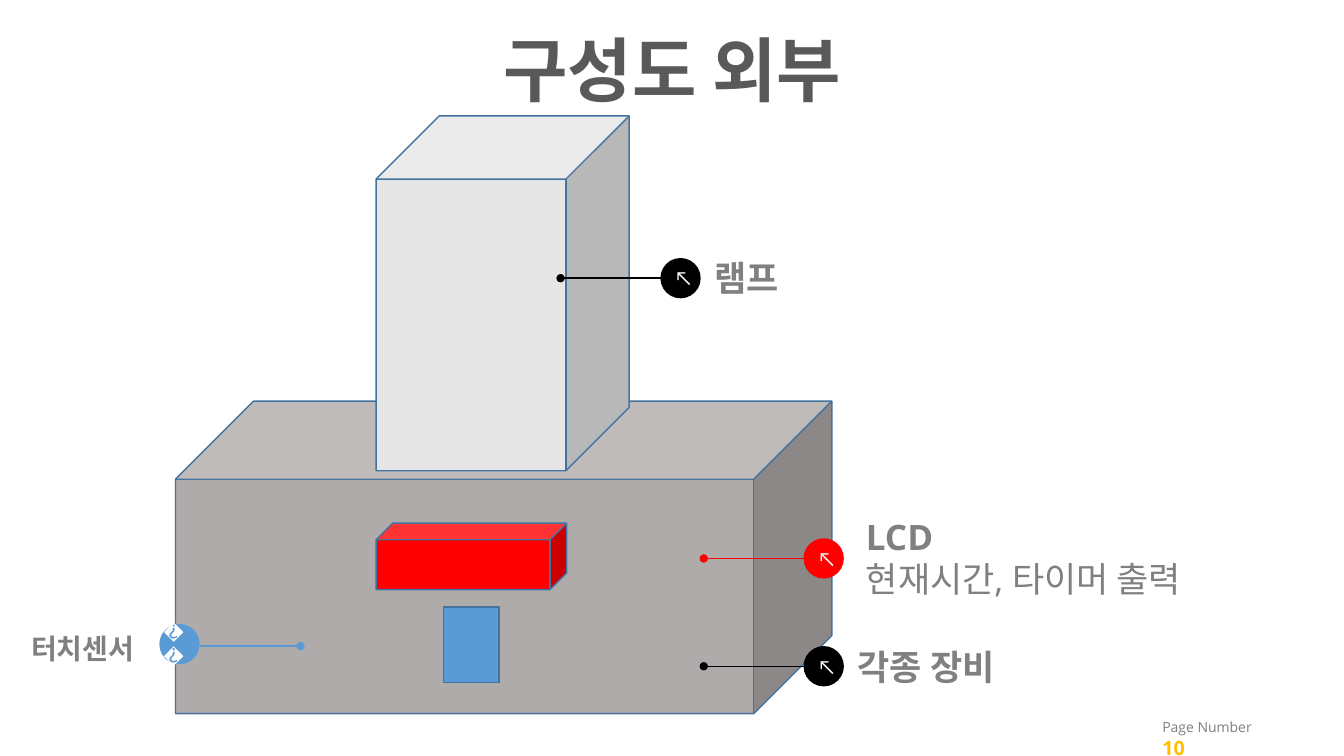
import pptx
import pptx.dml.color
import pptx.enum.shapes
import pptx.enum.text
import pptx.util
from lxml import etree
from pptx.oxml.ns import qn

EMU_PER_PX = 9144  # 100 px to the inch
SHAPES = pptx.enum.shapes.MSO_SHAPE
CENTER = pptx.enum.text.PP_ALIGN.CENTER
LEFT = pptx.enum.text.PP_ALIGN.LEFT

OUTLINE, GRAY, WHITE = "43739E", "808080", "FFFFFF"
RED, BLACK, BLUE = "FF0000", "000000", "5B9BD5"
CIRCLE_SIZE = 40
LEADER_LENGTH = 100


def px(length):
    return pptx.util.Emu(length * EMU_PER_PX)


def color(hex_string):
    return pptx.dml.color.RGBColor.from_string(hex_string)


def set_font(font, size, name, hex_color, bold=False):
    font.size = pptx.util.Pt(size)
    font.name = name
    font.bold = bold
    font.color.rgb = color(hex_color)


class DiagramSlide:
    """Holds the text style and the slide that elements are drawn on."""

    text_font = "Open Sans"
    title_font = "Karla"
    icon_font = "Lato"

    def __init__(self, presentation):
        self.slide = presentation.slides.add_slide(presentation.slide_layouts[6])

    def text_box(self, left, top, width, height, wrap=True):
        box = self.slide.shapes.add_textbox(px(left), px(top), px(width), px(height))
        box.text_frame.word_wrap = wrap
        box.text_frame.auto_size = pptx.enum.text.MSO_AUTO_SIZE.SHAPE_TO_FIT_TEXT
        return box.text_frame

    def title(self, text, left, top, width, height):
        paragraph = self.text_box(left, top, width, height, wrap=False).paragraphs[0]
        paragraph.text = text
        paragraph.alignment = CENTER
        set_font(paragraph.font, 50, self.title_font, "595959", bold=True)

    def page_number(self, number, left, top, width, height):
        paragraph = self.text_box(left, top, width, height).paragraphs[0]
        for text, size, hex_color, bold in (
            ("Page Number ", 10, GRAY, False),
            (number, 14, "FFC000", True),
        ):
            run = paragraph.add_run()
            run.text = text
            set_font(run.font, size, self.text_font, hex_color, bold)

    def label(self, lines, size, left, top, width, height):
        """Write a bold heading, followed by any plain lines."""
        text_frame = self.text_box(left, top, width, height)
        for index, line in enumerate(lines):
            paragraph = text_frame.add_paragraph() if index else text_frame.paragraphs[0]
            paragraph.text = line
            paragraph.alignment = LEFT
            set_font(paragraph.font, size, self.text_font, GRAY, bold=index == 0)

    def solid(self, kind, left, top, width, height, fill, outline=OUTLINE):
        shape = self.slide.shapes.add_shape(kind, px(left), px(top), px(width), px(height))
        shape.shadow.inherit = False
        shape.fill.solid()
        shape.fill.fore_color.rgb = color(fill)
        if outline:
            shape.line.color.rgb = color(outline)
            shape.line.width = pptx.util.Pt(1)
        else:
            shape.line.fill.background()
        return shape

    def icon(self, symbol, left, top, fill, rotation=0):
        circle = self.solid(SHAPES.OVAL, left, top, CIRCLE_SIZE, CIRCLE_SIZE, fill, None)
        circle.rotation = rotation
        circle.text_frame.vertical_anchor = pptx.enum.text.MSO_ANCHOR.MIDDLE
        paragraph = circle.text_frame.paragraphs[0]
        paragraph.text = symbol
        paragraph.alignment = CENTER
        set_font(paragraph.font, 14, self.icon_font, WHITE)

    def leader(self, dot_x, end_x, y, hex_color):
        """Draw a horizontal line that starts with a dot."""
        connector = self.slide.shapes.add_connector(
            pptx.enum.shapes.MSO_CONNECTOR.STRAIGHT, px(dot_x), px(y), px(end_x), px(y)
        )
        connector.line.color.rgb = color(hex_color)
        connector.line.width = pptx.util.Pt(1)
        properties = connector.element.spPr
        line = properties.find(qn("a:ln"))
        etree.SubElement(line, qn("a:headEnd"), type="oval")
        etree.SubElement(properties, qn("a:effectLst"))


def main():
    presentation = pptx.Presentation()
    presentation.slide_width = px(1333)
    presentation.slide_height = px(750)
    diagram = DiagramSlide(presentation)

    diagram.title("구성도 외부", 475, 21, 384, 94)
    diagram.page_number("10", 1143, 708, 111, 34)

    for left, top, width, height, fill in (
        (174, 398, 651, 310, "AFABAB"),  # body
        (373, 519, 189, 66, RED),  # LCD
        (373, 115, 251, 352, "E7E6E6"),  # lamp
    ):
        diagram.solid(SHAPES.CUBE, left, top, width, height, fill)

    for lines, label_left, label_top, label_height, circle_left, circle_top, fill in (
        (("LCD", "현재시간, 타이머 출력"), 849, 507, 94, 797, 534, RED),
        (("램프",), 699, 250, 52, 655, 256, BLACK),
        (("각종 장비",), 841, 635, 52, 797, 641, BLACK),
    ):
        diagram.label(lines, 25, label_left, label_top, 498, label_height)
        diagram.icon("↖", circle_left, circle_top, fill)
        leader_end = circle_left + 1
        middle = circle_top + CIRCLE_SIZE // 2
        diagram.leader(leader_end - LEADER_LENGTH, leader_end, middle, fill)

    diagram.label(("터치센서",), 20, 21, 622, 143, 44)
    diagram.icon("📁", 158, 619, BLUE, rotation=180)
    diagram.leader(198 + LEADER_LENGTH, 198, 641, BLUE)
    diagram.solid(SHAPES.RECTANGLE, 440, 602, 55, 75, BLUE)

    presentation.save("out.pptx")


if __name__ == "__main__":
    main()
